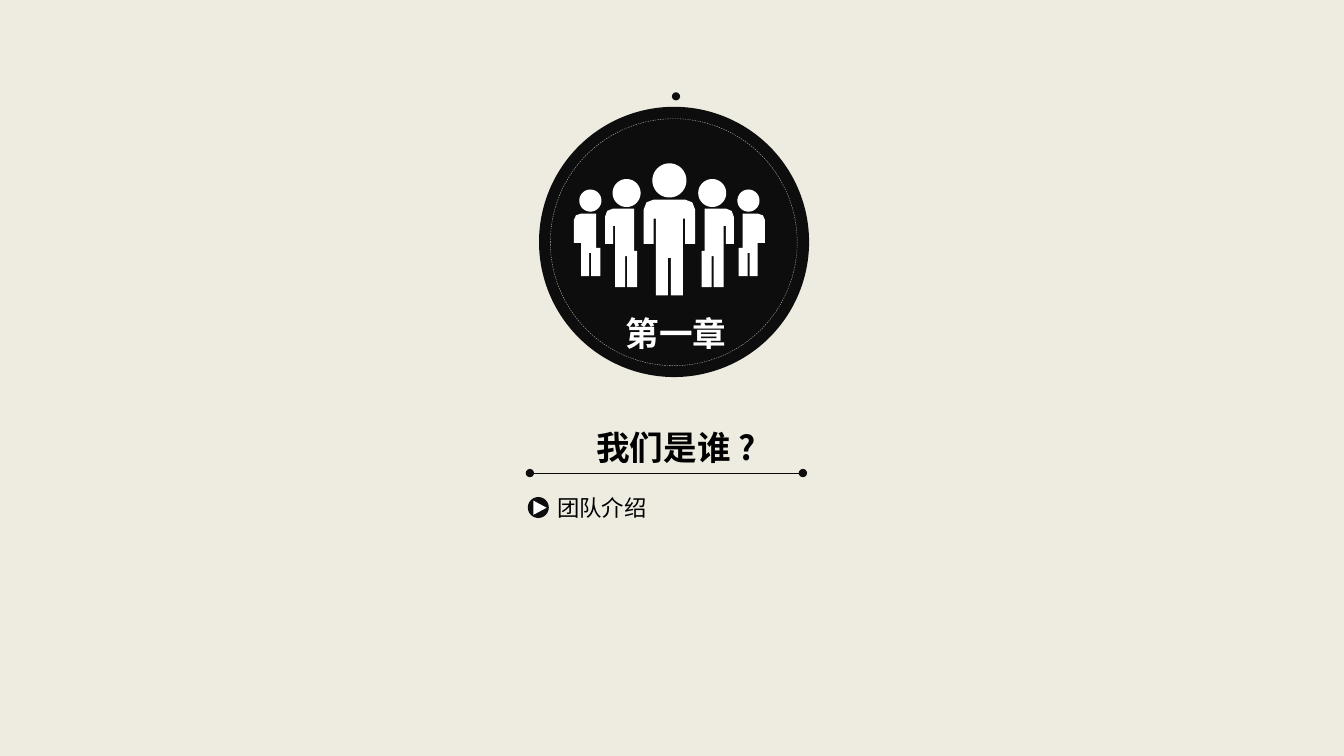
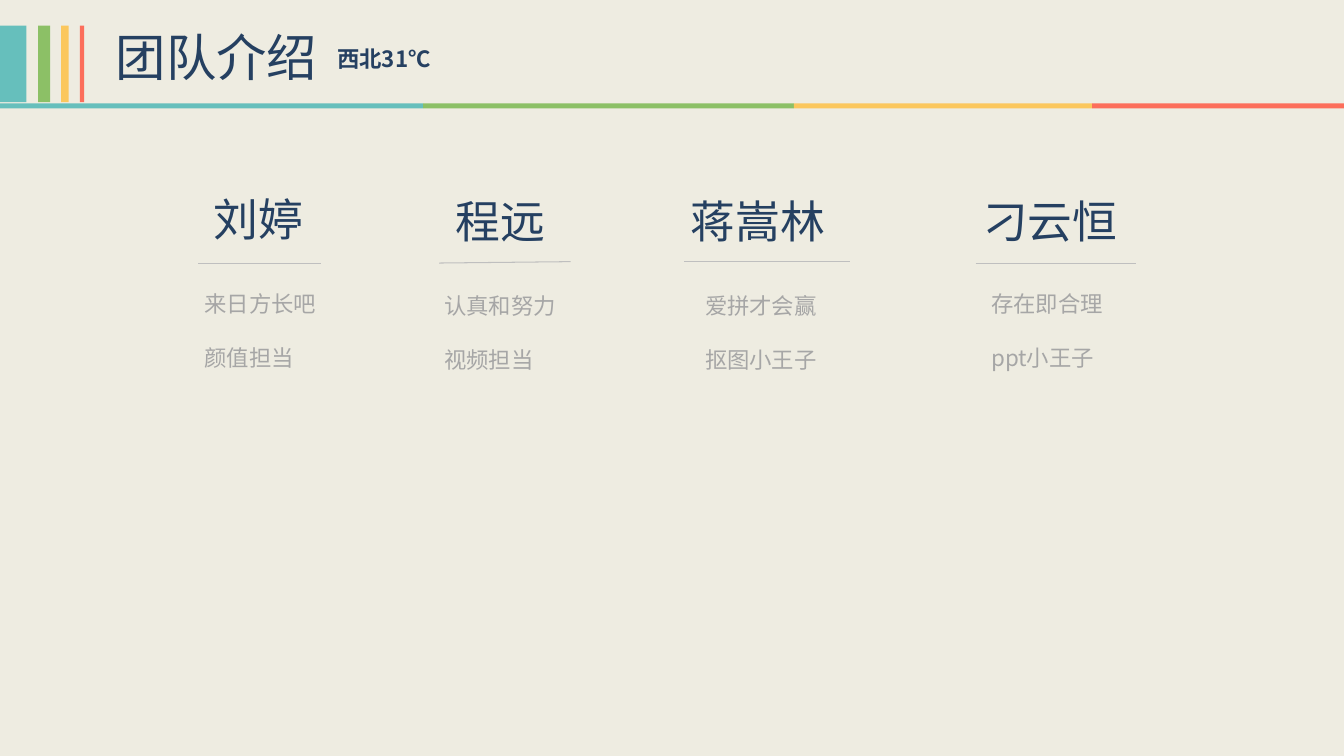
import math

from lxml import etree
from pptx import Presentation
from pptx.dml.color import RGBColor
from pptx.enum import dml, shapes, text
from pptx.oxml import ns
from pptx.util import Pt

FONT = "Noto Sans CJK SC"
CREAM = RGBColor(0xEE, 0xEC, 0xE1)
INK = RGBColor(0x0D, 0x0D, 0x0D)
BLACK = RGBColor(0, 0, 0)
WHITE = RGBColor(0xFF, 0xFF, 0xFF)
SILVER = RGBColor(0xBF, 0xBF, 0xBF)
GRAY = RGBColor(0xA6, 0xA6, 0xA6)
NAVY = RGBColor(0x25, 0x40, 0x61)
TEAL = RGBColor(0x66, 0xBF, 0xBC)
GREEN = RGBColor(0x8C, 0xC0, 0x66)
YELLOW = RGBColor(0xFB, 0xC7, 0x5D)
CORAL = RGBColor(0xFC, 0x6E, 0x5B)
ACCENTS = (TEAL, GREEN, YELLOW, CORAL)

SLIDE_WIDTH, SLIDE_HEIGHT = 960.48, 540
CROWD_AXIS = 478.4

# Outlines are (distance from the crowd's axis, y).
LEADER_HALF = [(11.2, 142.6), (16.4, 144.6), (18.4, 149.8), (18.4, 174.2),
               (11.2, 174.2), (11.2, 156.2), (9.7, 156.2), (9.7, 211),
               (1.1, 211), (1.1, 184.3)]
MIDDLE_BODY = [(25.2, 149), (40.3, 149), (44.5, 150.7), (46, 154.8),
               (46, 174.2), (40.3, 174.2), (40.3, 161.3), (38.8, 161.3),
               (38.8, 205.2), (31.6, 205.2), (31.6, 182.9), (30.2, 182.9),
               (30.2, 205.2), (23, 205.2), (23, 179.3), (25.2, 179.3)]
OUTER_BODY = [(52.3, 152.6), (63.1, 152.6), (66.8, 153.8), (68.2, 157),
              (68.2, 173.5), (63.1, 173.5), (63.1, 197.3), (57.4, 197.3),
              (57.4, 180.7), (55.9, 180.7), (55.9, 197.3), (49.4, 197.3),
              (49.4, 177.1), (52.3, 177.1)]

# Name, its left and top, rule start and end, lines, their left and top.
MEMBERS = [
    ("刘婷", (145.4, 133.2), (141.8, 187.9), (229.7, 187.9),
     ("来日方长吧", "颜值担当"), (139, 203.8)),
    ("程远", (318.6, 134.9), (313.9, 187.9), (407.9, 186.9),
     ("认真和努力", "视频担当"), (310.3, 205.2)),
    ("蒋嵩林", (486.5, 134.9), (488.9, 186.8), (607.7, 186.8),
     ("爱拼才会赢", "抠图小王子"), (496.8, 205.2)),
    ("刁云恒", (695.5, 134.9), (697.3, 187.9), (812.2, 187.9),
     ("存在即合理", "ppt小王子"), (701.3, 203.8)),
]


def place(shape, left, top, width, height):
    shape.left, shape.top = Pt(left), Pt(top)
    shape.width, shape.height = Pt(width), Pt(height)


def write(shape, lines, size, color, bold=False, centered=False, gap=0):
    """Fill a text shape, one paragraph a line, with gap points between them."""
    frame = shape.text_frame
    frame.word_wrap = True
    frame.auto_size = text.MSO_AUTO_SIZE.NONE
    frame.vertical_anchor = (text.MSO_ANCHOR.MIDDLE if centered
                             else text.MSO_ANCHOR.TOP)
    for index, line in enumerate(lines):
        paragraph = frame.add_paragraph() if index else frame.paragraphs[0]
        paragraph.alignment = (text.PP_ALIGN.CENTER if centered
                               else text.PP_ALIGN.LEFT)
        paragraph.space_before = Pt(gap if index else 0)
        run = paragraph.add_run()
        run.text = line
        font = run.font
        font.size, font.bold, font.name = Pt(size), bold, FONT
        font.color.rgb = color
        east_asian = etree.SubElement(run._r.get_or_add_rPr(), ns.qn("a:ea"))
        east_asian.set("typeface", FONT)


def add_text(slide, box, lines, size, color, **style):
    shape = slide.shapes.add_textbox(*map(Pt, box))
    write(shape, lines, size, color, **style)
    return shape


def set_title(slide, box, title, size, color, **style):
    place(slide.shapes.title, *box)
    write(slide.shapes.title, [title], size, color, **style)


def paint(shape, color):
    shape.shadow.inherit = False
    shape.fill.solid()
    shape.fill.fore_color.rgb = color
    shape.line.fill.background()


def add_shape(slide, kind, box, color):
    shape = slide.shapes.add_shape(kind, *map(Pt, box))
    paint(shape, color)
    return shape


def add_disc(slide, x, y, radius, color):
    """Add a circle centred on x, y."""
    box = (x - radius, y - radius, 2 * radius, 2 * radius)
    return add_shape(slide, shapes.MSO_SHAPE.OVAL, box, color)


def add_rule(slide, start, end, color, dots=False):
    """Add a thin line, with a dot at each end if asked."""
    rule = slide.shapes.add_connector(
        shapes.MSO_CONNECTOR.STRAIGHT, *map(Pt, (*start, *end)))
    rule.line.color.rgb = color
    rule.line.width = Pt(0.75)
    if dots:
        for tag in ("a:headEnd", "a:tailEnd"):
            etree.SubElement(rule.line._ln, ns.qn(tag)).set("type", "oval")
    etree.SubElement(rule._element.spPr, ns.qn("a:effectLst"))


def head_outline(x, y, radius, steps=48):
    angles = [math.tau * step / steps for step in range(steps)]
    return [(x + radius * math.cos(angle), y + radius * math.sin(angle))
            for angle in angles]


def add_crowd(slide):
    """Add the five figures as one shape, mirrored about the crowd's axis."""
    leader = LEADER_HALF + [(-x, y) for x, y in reversed(LEADER_HALF)]
    outlines = [head_outline(0, 128.9, 12.2), leader]
    for outline in (head_outline(30.6, 137.9, 10), MIDDLE_BODY,
                    head_outline(56.5, 143.3, 7.9), OUTER_BODY):
        outlines += [outline, [(-x, y) for x, y in outline]]

    builder = slide.shapes.build_freeform(scale=1.0)
    for outline in outlines:
        points = [(Pt(CROWD_AXIS + x), Pt(y)) for x, y in outline]
        builder.move_to(*points[0])
        builder.add_line_segments(points[1:], close=True)
    crowd = builder.convert_to_shape()
    paint(crowd, WHITE)
    return crowd


def add_header(slide, title, note):
    set_title(slide, (75.6, 15.1, 410.4, 51.1), title, 36, NAVY)
    add_text(slide, (234, 28.8, 184.3, 26.6), [note], 16, NAVY, bold=True)
    bars = ((0, 19), (27.2, 8.6), (43.7, 5.3), (57.1, 3))
    edges = (0, 302.4, 567.4, 780.5, SLIDE_WIDTH)
    for color, (left, width), start, end in zip(
            ACCENTS, bars, edges, edges[1:]):
        rectangle = shapes.MSO_SHAPE.RECTANGLE
        add_shape(slide, rectangle, (left, 18.3, width, 54.7), color)
        add_shape(slide, rectangle, (start, 73.9, end - start, 3.6), color)


def build_chapter(slide):
    add_disc(slide, 481.7, 172.8, 96.5, INK)
    ring = add_disc(slide, 481.5, 173, 88.2, INK)
    ring.fill.background()
    ring.line.color.rgb = SILVER
    ring.line.width = Pt(0.25)
    ring.line.dash_style = dml.MSO_LINE.DASH
    add_disc(slide, 483.1, 68.8, 2.9, INK)
    add_crowd(slide)
    add_text(slide, (389.5, 218.9, 187.2, 37.4), ["第一章"], 24, WHITE,
             bold=True, centered=True)

    set_title(slide, (389.5, 300.3, 187.2, 37.4), "我们是谁 ?", 24, BLACK,
              bold=True, centered=True)
    add_rule(slide, (378.7, 337.9), (573.8, 337.9), INK, dots=True)

    add_disc(slide, 384.7, 362.5, 7.5, INK)
    arrow = add_shape(slide, shapes.MSO_SHAPE.ISOSCELES_TRIANGLE,
                      (380.9, 358, 10.1, 9.4), WHITE)
    arrow.rotation = 90
    topic = add_text(slide, (398.2, 353.3, 96.5, 19.4), ["团队介绍"], 16, BLACK)
    frame = topic.text_frame
    frame.margin_left = frame.margin_right = 0
    frame.margin_top = frame.margin_bottom = 0


def build_team(slide):
    add_header(slide, "团队介绍", "西北31℃")
    for name, name_corner, start, end, lines, lines_corner in MEMBERS:
        add_text(slide, (*name_corner, 130.3, 46.1), [name], 32, NAVY)
        add_rule(slide, start, end, SILVER)
        add_text(slide, (*lines_corner, 100.1, 65.5), lines, 16, GRAY, gap=19.3)


def main():
    presentation = Presentation()
    presentation.slide_width = Pt(SLIDE_WIDTH)
    presentation.slide_height = Pt(SLIDE_HEIGHT)
    background = presentation.slide_master.background.fill
    background.solid()
    background.fore_color.rgb = CREAM
    title_only = presentation.slide_layouts[5]
    for build in (build_chapter, build_team):
        build(presentation.slides.add_slide(title_only))
    presentation.save("out.pptx")


if __name__ == "__main__":
    main()
